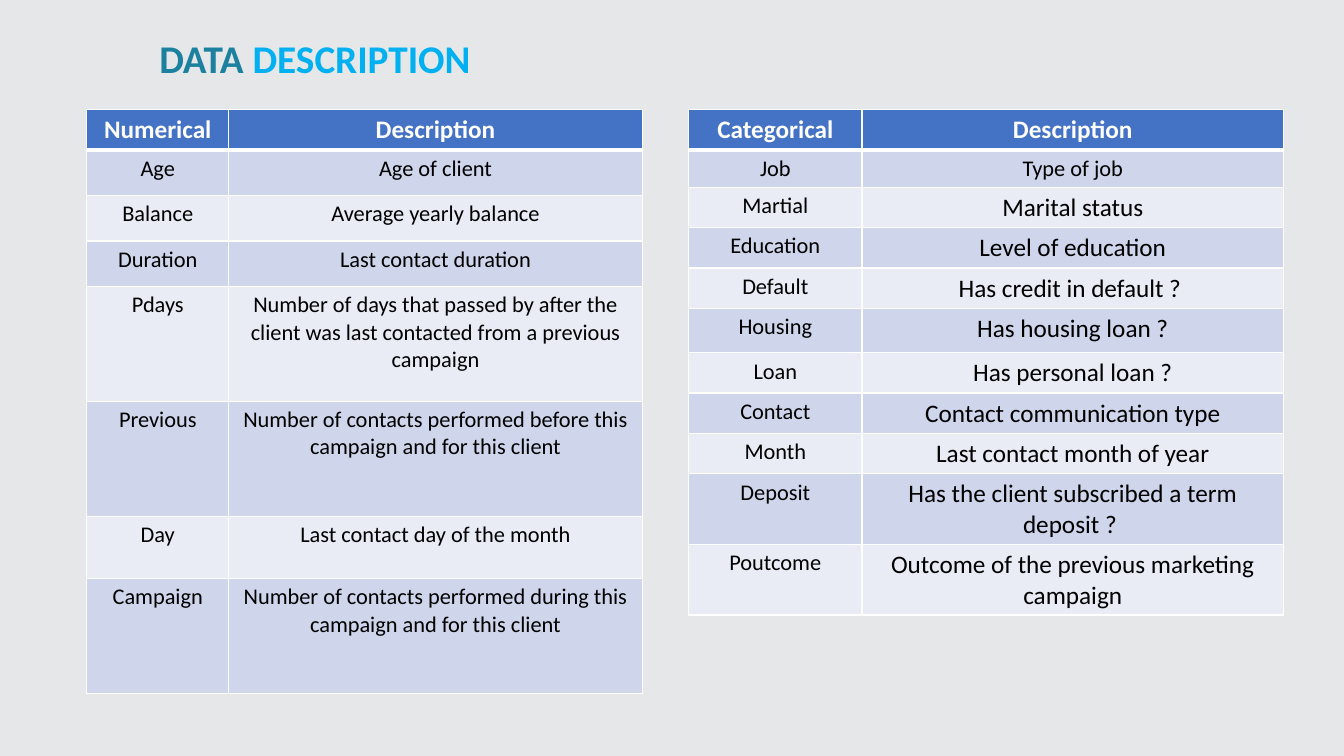
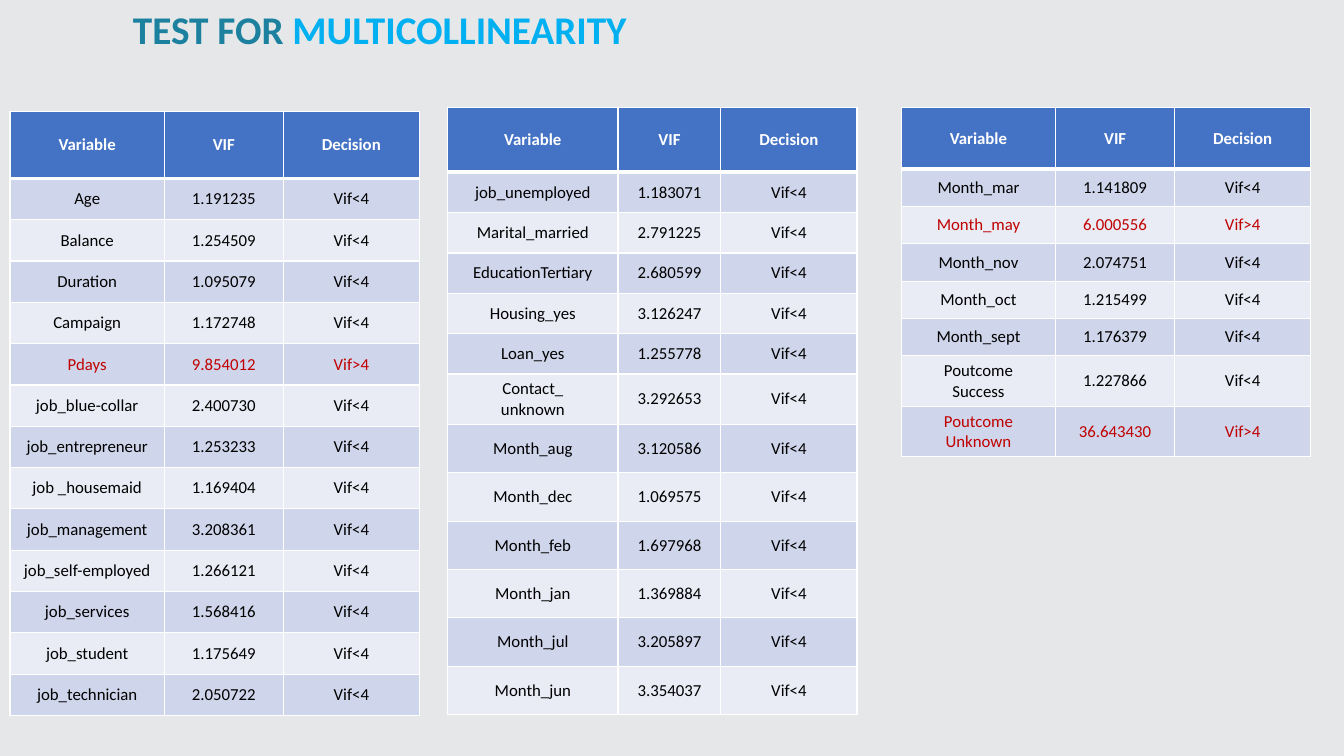
"""Build two slides of variable tables: data description and VIF test."""
from lxml.etree import SubElement
from pptx import Presentation
from pptx.dml.color import RGBColor
from pptx.enum.text import MSO_ANCHOR, MSO_AUTO_SIZE, PP_ALIGN
from pptx.oxml.ns import qn
from pptx.util import Inches, Pt

FONT = "Calibri"
HUES = {
    "back": "E6E7E9", "teal": "1C819E", "sky": "00B0F0", "head": "4472C4",
    "odd": "CFD5EA", "even": "E9EBF5", "white": "FFFFFF", "black": "000000",
    "red": "C00000",
}
LIMIT = 4


def add_title(slide, box, pad, words):
    shape = slide.shapes.add_textbox(*[Inches(n) for n in box])
    frame = shape.text_frame
    frame.word_wrap = True
    frame.auto_size = MSO_AUTO_SIZE.SHAPE_TO_FIT_TEXT
    frame.margin_left = frame.margin_right = Inches(pad)
    frame.margin_top = frame.margin_bottom = Inches(pad / 2)
    for text, hue in zip(words, ("teal", "sky")):
        run = frame.paragraphs[0].add_run()
        run.text = text
        font = run.font
        font.name, font.size, font.bold = FONT, Pt(28), True
        font.color.rgb = RGBColor.from_string(HUES[hue])


def add_grid(slide, spot, cols, highs, rows, sizes, anchor, marks=()):
    left, top = spot
    table = slide.shapes.add_table(
        len(rows), len(cols), Inches(left), Inches(top),
        Inches(sum(cols)), Inches(sum(highs))).table
    for col, wide in zip(table.columns, cols):
        col.width = Inches(wide)
    for i, (row, high) in enumerate(zip(rows, highs)):
        table.rows[i].height = Inches(high)
        band = "head" if i == 0 else "odd" if i % 2 else "even"
        ink = "white" if i == 0 else "red" if i in marks else "black"
        for j, text in enumerate(row):
            cell = table.cell(i, j)
            cell.vertical_anchor = anchor
            props = cell._tc.get_or_add_tcPr()
            for side in "LRTB":
                thick = (i, side) in ((0, "B"), (1, "T"))
                line = SubElement(props, qn("a:ln" + side),
                                  w=str(Pt(3 if thick else 1)))
                fill = SubElement(line, qn("a:solidFill"))
                SubElement(fill, qn("a:srgbClr"), val=HUES["white"])
            cell.fill.solid()
            cell.fill.fore_color.rgb = RGBColor.from_string(HUES[band])
            cell.text_frame.text = text
            for para in cell.text_frame.paragraphs:
                para.alignment = PP_ALIGN.CENTER
                for run in para.runs:
                    font = run.font
                    font.name, font.bold = FONT, i == 0
                    font.size = Pt(sizes(i, j))
                    font.color.rgb = RGBColor.from_string(HUES[ink])


deck = Presentation()
deck.slide_width, deck.slide_height = Inches(13.33), Inches(7.5)
slides = []
for _ in range(2):
    slide = deck.slides.add_slide(deck.slide_layouts[6])
    slide.background.fill.solid()
    slide.background.fill.fore_color.rgb = RGBColor.from_string(HUES["back"])
    slides.append(slide)
data, test = slides

add_title(data, (1.58, 0.34, 3.2, 0.47), 0, ("DATA ", "DESCRIPTION"))
nums = [
    ("Numerical", "Description"),
    ("Age", "Age of client"),
    ("Balance", "Average yearly balance"),
    ("Duration", "Last contact duration"),
    ("Pdays", "Number of days that passed by after the client was last "
              "contacted from a previous campaign"),
    ("Previous", "Number of contacts performed before this campaign "
                 "and for this client"),
    ("Day", "Last contact day of the month"),
    ("Campaign", "Number of contacts performed during this campaign "
                 "and for this client"),
]
add_grid(data, (0.86, 1.09), (1.41, 4.1),
         [0.4] + [0.45] * 3 + [1.14, 1.14, 0.62, 1.14], nums,
         lambda i, j: 16 if i else 18, MSO_ANCHOR.TOP)

kinds = [
    ("Categorical", "Description"),
    ("Job", "Type of job"),
    ("Martial", "Marital status"),
    ("Education", "Level of education"),
    ("Default", "Has credit in default ? "),
    ("Housing", "Has housing loan ?"),
    ("Loan", "Has personal loan ?"),
    ("Contact", "Contact communication type"),
    ("Month", "Last contact month of year"),
    ("Deposit", "Has the client subscribed a term deposit ? "),
    ("Poutcome", "Outcome of the previous marketing campaign"),
]
add_grid(data, (6.83, 1.09), (1.72, 4.18),
         [0.4, 0.36] + [0.4] * 3 + [0.44] + [0.4] * 3 + [0.7] * 2, kinds,
         lambda i, j: 18 if i == 0 or (j and i > 1) else 16, MSO_ANCHOR.TOP)

add_title(test, (1.22, 0, 5.35, 0.57), 0.1, ("TEST FOR ", "MULTICOLLINEARITY"))
first = [
    ("Age", "1.191235"), ("Balance", "1.254509"), ("Duration", "1.095079"),
    ("Campaign", "1.172748"), ("Pdays", "9.854012"),
    ("job_blue-collar", "2.400730"), ("job_entrepreneur", "1.253233"),
    ("job _housemaid", "1.169404"), ("job_management", "3.208361"),
    ("job_self-employed", "1.266121"), ("job_services", "1.568416"),
    ("job_student", "1.175649"), ("job_technician", "2.050722"),
]
second = [
    ("job_unemployed", "1.183071"), ("Marital_married", "2.791225"),
    ("EducationTertiary", "2.680599"), ("Housing_yes", "3.126247"),
    ("Loan_yes", "1.255778"), ("Contact_\nunknown", "3.292653"),
    ("Month_aug", "3.120586"), ("Month_dec", "1.069575"),
    ("Month_feb", "1.697968"), ("Month_jan", "1.369884"),
    ("Month_jul", "3.205897"), ("Month_jun", "3.354037"),
]
third = [
    ("Month_mar", "1.141809"), ("Month_may", "6.000556"),
    ("Month_nov", "2.074751"), ("Month_oct", "1.215499"),
    ("Month_sept", "1.176379"), ("Poutcome\nSuccess", "1.227866"),
    ("Poutcome\nUnknown", "36.643430"),
]
wide = (1.53, 1.18, 1.35)
grids = [
    ((0.1, 1.11), wide, [0.66] + [0.41] * 13, first),
    ((4.44, 1.07), (1.69, 1.02, 1.35),
     [0.64] + [0.4] * 5 + [0.5] + [0.48] * 6, second),
    ((8.94, 1.07), wide, [0.61] + [0.37] * 5 + [0.5] * 2, third),
]
for spot, cols, highs, pairs in grids:
    rows = [("Variable", "VIF", "Decision")]
    marks = []
    for i, (name, vif) in enumerate(pairs, 1):
        high = float(vif) > LIMIT
        rows.append((name, vif, f"Vif{'>' if high else '<'}{LIMIT}"))
        if high:
            marks.append(i)
    add_grid(test, spot, cols, highs, rows, lambda i, j: 12,
             MSO_ANCHOR.MIDDLE, marks)

deck.save("out.pptx")
